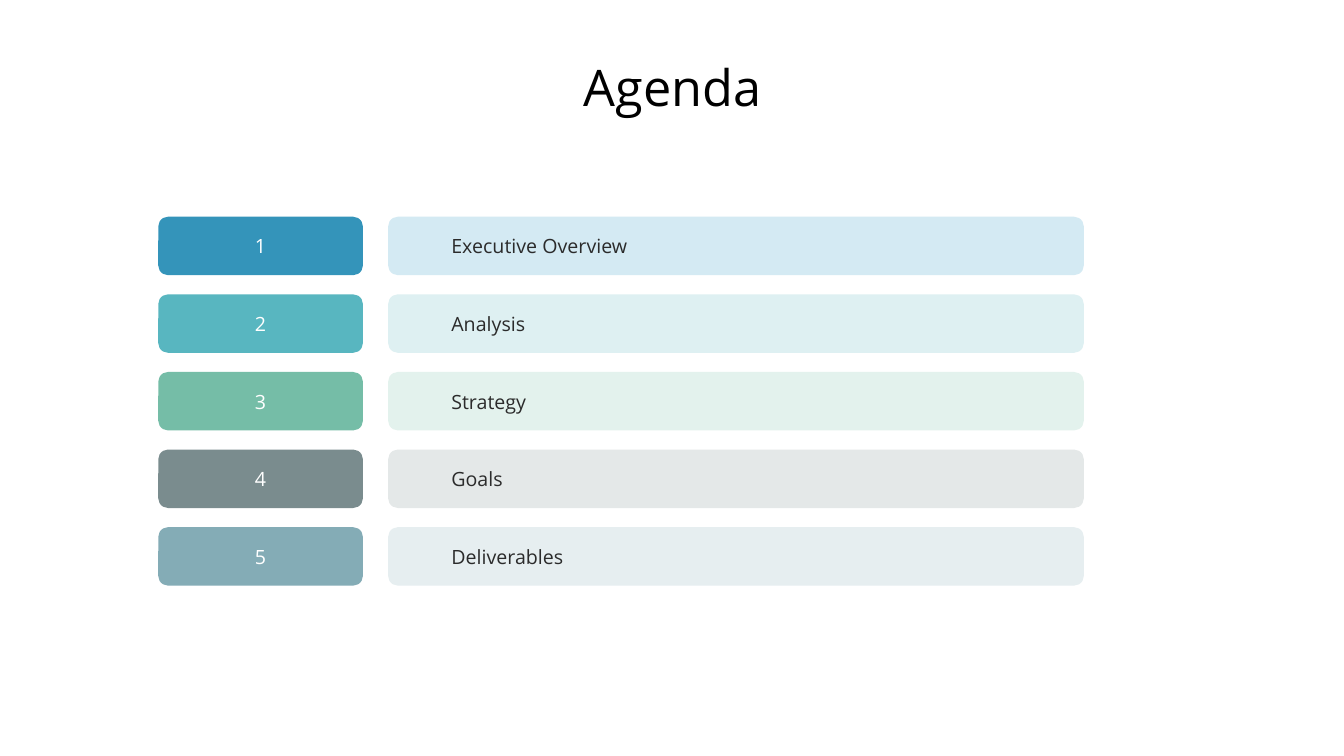
from pptx import Presentation
from pptx.dml.color import RGBColor
from pptx.enum.shapes import MSO_SHAPE
from pptx.enum.text import MSO_ANCHOR, PP_ALIGN
from pptx.util import Inches, Pt

WHITE = RGBColor(0xFF, 0xFF, 0xFF)
BLACK = RGBColor(0x00, 0x00, 0x00)
INK = RGBColor(0x2B, 0x2B, 0x2B)
BLUE = RGBColor(0x34, 0x94, 0xBA)
TEAL = RGBColor(0x58, 0xB6, 0xC0)
GREEN = RGBColor(0x75, 0xBD, 0xA7)
GREY = RGBColor(0x7A, 0x8C, 0x8E)
STEEL = RGBColor(0x84, 0xAC, 0xB6)
PALE_BLUE = RGBColor(0xD4, 0xEA, 0xF3)
PALE_TEAL = RGBColor(0xDE, 0xF0, 0xF2)
PALE_GREEN = RGBColor(0xE3, 0xF2, 0xED)
PALE_GREY = RGBColor(0xE4, 0xE8, 0xE8)
PALE_STEEL = RGBColor(0xE6, 0xEE, 0xF0)

ITEMS = [
    ("Executive Overview", BLUE, PALE_BLUE),
    ("Analysis", TEAL, PALE_TEAL),
    ("Strategy", GREEN, PALE_GREEN),
    ("Goals", GREY, PALE_GREY),
    ("Deliverables", STEEL, PALE_STEEL),
]
TOP, STEP, HIGH = 2.15, 0.77, 0.58


class Deck:
    font = "Open Sans"

    def __init__(self, slide):
        self.slide = slide

    def label(self, shape, text, size, color, align):
        frame = shape.text_frame
        frame.word_wrap = True
        frame.vertical_anchor = MSO_ANCHOR.MIDDLE
        para = frame.paragraphs[0]
        para.alignment = align
        run = para.add_run()
        run.text = text
        run.font.name = self.font
        run.font.size = Pt(size)
        run.font.color.rgb = color
        return para

    def block(self, kind, left, top, width, height, fill):
        shape = self.slide.shapes.add_shape(
            kind, Inches(left), Inches(top), Inches(width), Inches(height))
        shape.shadow.inherit = False
        shape.fill.solid()
        shape.fill.fore_color.rgb = fill
        shape.line.fill.background()
        return shape

    def panel(self, width, height):
        self.block(MSO_SHAPE.RECTANGLE, 0, 0, width, height, WHITE)

    def topic(self, top, text, fill):
        bar = self.block(MSO_SHAPE.ROUNDED_RECTANGLE, 3.85, top, 6.9, HIGH, fill)
        para = self.label(bar, text, 14, INK, PP_ALIGN.LEFT)
        para.level = 1
        props = para._p.get_or_add_pPr()
        props.set("marL", str(Inches(0.5)))
        props.set("indent", "0")

    def number(self, top, text, fill):
        tile = self.block(MSO_SHAPE.ROUNDED_RECTANGLE, 1.57, top, 2.03, HIGH, fill)
        self.label(tile, text, 14, WHITE, PP_ALIGN.CENTER)

    def title(self, text):
        box = self.slide.shapes.add_textbox(
            Inches(0.92), Inches(0.41), Inches(11.5), Inches(0.97))
        para = self.label(box, text, 36, BLACK, PP_ALIGN.CENTER)
        para.line_spacing = 0.9


def main():
    show = Presentation()
    show.slide_width = Inches(13.33)
    show.slide_height = Inches(7.5)
    deck = Deck(show.slides.add_slide(show.slide_layouts[6]))
    for row, (text, _, pale) in enumerate(ITEMS):
        deck.topic(TOP + row * STEP, text, pale)
    deck.panel(3.6, 7.5)
    deck.title("Agenda")
    for row, (_, color, _) in enumerate(ITEMS):
        deck.number(TOP + row * STEP, str(row + 1), color)
    show.save("out.pptx")


if __name__ == "__main__":
    main()
